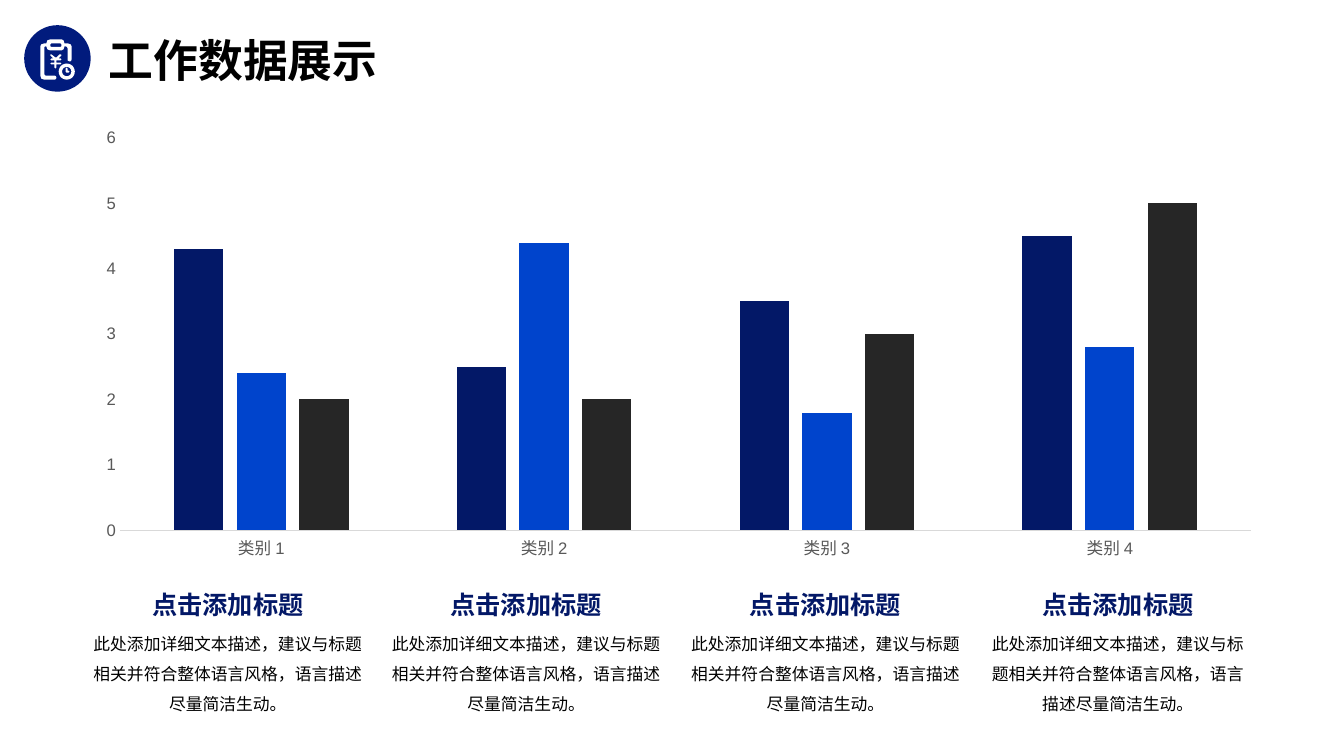
from math import cos, pi, sin

from lxml.etree import SubElement
from pptx import Presentation
from pptx.chart.data import CategoryChartData
from pptx.dml.color import RGBColor
from pptx.enum.chart import XL_CHART_TYPE, XL_TICK_MARK
from pptx.enum.shapes import MSO_SHAPE
from pptx.enum.text import PP_ALIGN
from pptx.oxml.ns import qn
from pptx.util import Inches, Pt

COLORS = {
    "badge": "011B7D",
    "navy": "031867",
    "blue": "0044CC",
    "charcoal": "262626",
    "black": "000000",
    "white": "FFFFFF",
    "axis_text": "595959",
    "axis_line": "D9D9D9",
}
CJK_FONT = "Noto Sans CJK SC"
HEADING = "点击添加标题"
DESCRIPTION = "此处添加详细文本描述，建议与标题相关并符合整体语言风格，语言描述尽量简洁生动。"
COLUMNS = [(0.82, 2.88), (3.75, 2.94), (6.73, 2.92), (9.69, 2.8)]
CATEGORIES = ["类别 1", "类别 2", "类别 3", "类别 4"]
SERIES = [
    ("Series 1", (4.3, 2.5, 3.5, 4.5), "navy"),
    ("Series 2", (2.4, 4.4, 1.8, 2.8), "blue"),
    ("Series 3", (2, 2, 3, 5), "charcoal"),
]
BOARD = [
    (69, 61), (67, 60), (67, 48), (66.5, 46.5), (65, 46), (64, 46), (63, 49),
    (61, 50), (50, 50), (47, 49), (46, 46), (45, 46), (44, 46.5), (44, 48),
    (44, 74), (45, 75), (54, 75), (55.5, 75.5), (56, 77), (55.5, 78.5),
    (54, 79), (44, 79), (41, 78), (40, 75), (40, 46), (41, 44), (44, 43),
    (46, 43), (47, 40), (50, 39), (61, 39), (63, 40), (64, 43), (67, 43),
    (70, 44), (71, 46), (71, 59), (70.5, 60.5),
]
CLIP_HOLE = [(61, 44), (60, 43), (51, 43), (50, 44), (50, 46), (51, 46.5),
             (60, 46.5), (61, 46)]
YEN = [
    (60, 62), (61, 63), (60, 64), (56, 64), (56, 67), (55, 68), (54, 67),
    (54, 64), (51, 64), (50, 63), (51, 62), (54, 62), (54, 60), (51, 60),
    (50, 59), (51, 58), (53, 58), (50, 55), (50, 54), (51, 54), (55, 57),
    (56, 57), (59, 54), (60.5, 54), (61, 55), (58, 58), (60, 58), (61, 59),
    (60, 60), (56, 60), (56, 62),
]
CLOCK_HANDS = [(68, 72), (66, 72), (65, 71), (65, 68), (66, 67), (67, 68),
               (67, 70), (68, 70), (69, 71)]


def rgb(name):
    """Return the named palette colour."""
    return RGBColor.from_string(COLORS[name])


def paint(area, color):
    """Give a shape a plain fill without outline or shadow."""
    area.shadow.inherit = False
    area.fill.solid()
    area.fill.fore_color.rgb = rgb(color)
    area.line.fill.background()


def ring(x, y, radius, steps=24):
    """Return points around a circle."""
    angles = [2 * pi * step / steps for step in range(steps)]
    return [(x + radius * cos(a), y + radius * sin(a)) for a in angles]


def add_badge(slide):
    """Draw the round clipboard badge."""
    disc = slide.shapes.add_shape(
        MSO_SHAPE.OVAL, Inches(0.24), Inches(0.25), Inches(0.66), Inches(0.66))
    paint(disc, "badge")
    contours = [BOARD, CLIP_HOLE, YEN, ring(66.2, 71, 8),
                ring(66.2, 71, 4.6), CLOCK_HANDS]
    builder = slide.shapes.build_freeform(scale=Inches(0.01) / 10)
    for contour in contours:
        start, *rest = [(round(x * 10), round(y * 10)) for x, y in contour]
        builder.move_to(*start)
        builder.add_line_segments(rest, close=True)
    clipboard = builder.convert_to_shape()
    paint(clipboard, "white")


def add_text_frame(slide, left, top, width, height):
    """Add a wrapping text box and return its frame."""
    frame = slide.shapes.add_textbox(
        Inches(left), Inches(top), Inches(width), Inches(height)).text_frame
    frame.word_wrap = True
    return frame


def add_run(paragraph, text, size, color, bold=False):
    """Append a styled run of text."""
    run = paragraph.add_run()
    run.text = text
    run.font.size = Pt(size)
    run.font.bold = bold
    run.font.color.rgb = rgb(color)
    run.font.name = CJK_FONT
    SubElement(run.font._element, qn("a:ea"), typeface=CJK_FONT)


def add_caption(slide, left, width):
    """Add a centred heading with its description."""
    frame = add_text_frame(slide, left, 5.65, width, 1.79)
    heading = frame.paragraphs[0]
    description = frame.add_paragraph()
    description.space_before = Pt(2.4)
    for paragraph in (heading, description):
        paragraph.alignment = PP_ALIGN.CENTER
        paragraph.line_spacing = 1.5
    add_run(heading, HEADING, 18, "navy", bold=True)
    add_run(description, DESCRIPTION, 12, "black")


def style_axis(axis):
    """Give an axis its label style without ticks or gridlines."""
    axis.has_major_gridlines = False
    axis.major_tick_mark = XL_TICK_MARK.NONE
    axis.minor_tick_mark = XL_TICK_MARK.NONE
    labels = axis.tick_labels.font
    labels.size = Pt(11.9)
    labels.name = "Arial"
    labels.color.rgb = rgb("axis_text")


def add_column_chart(slide):
    """Add the clustered column chart."""
    chart_data = CategoryChartData()
    chart_data.categories = CATEGORIES
    for name, values, _ in SERIES:
        chart_data.add_series(name, values)
    chart = slide.shapes.add_chart(
        XL_CHART_TYPE.COLUMN_CLUSTERED, Inches(0.82), Inches(1.19),
        Inches(11.83), Inches(4.45), chart_data).chart
    chart.has_title = False
    chart.has_legend = False
    chart.font.size = Pt(10)
    chart.font.name = "Arial"
    chart.font.color.rgb = rgb("black")
    style_axis(chart.category_axis)
    chart.category_axis.format.line.color.rgb = rgb("axis_line")
    chart.category_axis.format.line.width = Pt(0.75)
    style_axis(chart.value_axis)
    chart.value_axis.format.line.fill.background()
    chart.value_axis.minimum_scale = 0
    chart.value_axis.maximum_scale = 6
    chart.value_axis.major_unit = 1
    plot = chart.plots[0]
    plot.gap_width = 219
    plot.overlap = -27
    plot.vary_by_categories = False
    for columns, (_, _, color) in zip(plot.series, SERIES):
        columns.format.fill.solid()
        columns.format.fill.fore_color.rgb = rgb(color)


def main():
    """Build and save the work data slide."""
    deck = Presentation()
    deck.slide_width = Inches(40 / 3)
    deck.slide_height = Inches(7.5)
    slide = deck.slides.add_slide(deck.slide_layouts[6])
    add_badge(slide)
    title = add_text_frame(slide, 0.98, 0.28, 5.12, 0.64)
    add_run(title.paragraphs[0], "工作数据展示", 32, "black", bold=True)
    for left, width in COLUMNS:
        add_caption(slide, left, width)
    add_column_chart(slide)
    deck.save("out.pptx")


if __name__ == "__main__":
    main()
